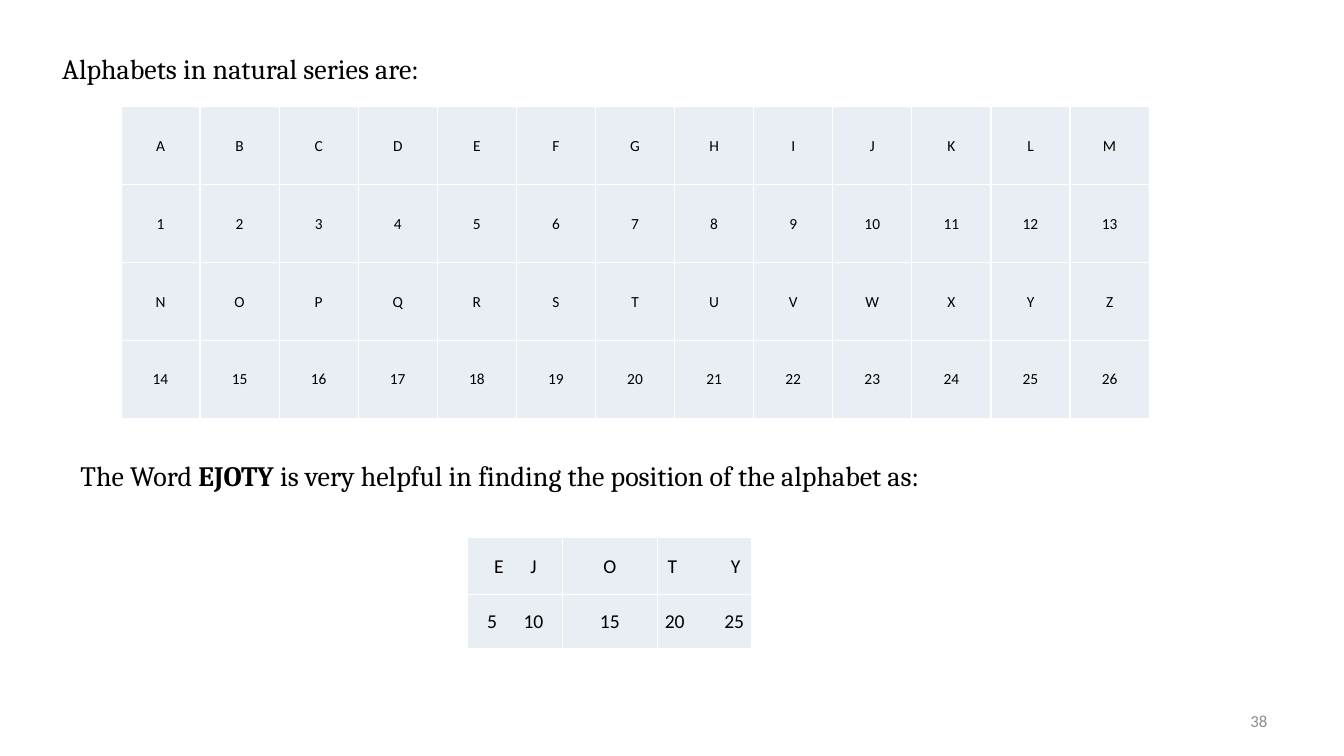
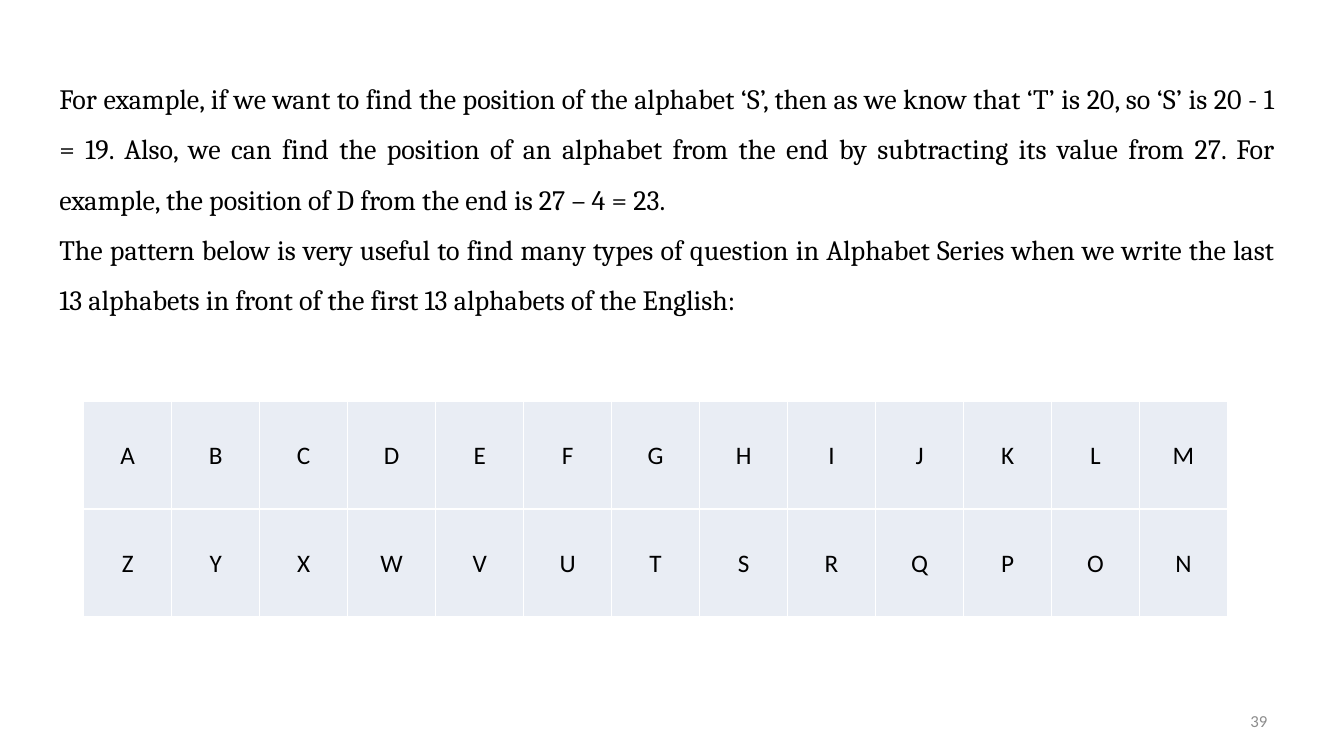
from dataclasses import dataclass
from typing import NamedTuple

from lxml.etree import SubElement
from pptx import Presentation
from pptx.dml.color import RGBColor
from pptx.enum.text import MSO_ANCHOR, MSO_AUTO_SIZE, PP_ALIGN
from pptx.oxml.ns import qn
from pptx.slide import Slide
from pptx.table import _Cell
from pptx.text.text import _Paragraph
from pptx.util import Pt


@dataclass(frozen=True)
class Theme:
    ink: RGBColor = RGBColor(0x00, 0x00, 0x00)
    gray: RGBColor = RGBColor(0x8C, 0x8C, 0x8C)
    tint: RGBColor = RGBColor(0xE9, 0xED, 0xF4)
    line: str = "FFFFFF"
    serif: str = "Cambria"
    sans: str = "Calibri"
    body: float = 20
    foot: float = 12
    small: float = 11
    mid: float = 14
    large: float = 18


THEME = Theme()


class Box(NamedTuple):
    left: float
    top: float
    width: float
    height: float


class Span(NamedTuple):
    text: str
    bold: bool = False


class Pair(NamedTuple):
    first: str
    last: str
    start: float
    gap: float


@dataclass(frozen=True)
class Grid:
    left: float
    top: float
    width: float
    heights: list[float]
    cells: list[list[str | Pair]]
    size: float


LETTERS = "ABCDEFGHIJKLMNOPQRSTUVWXYZ"
HALF = len(LETTERS) // 2
NUMBERS = [str(n + 1) for n in range(len(LETTERS))]

SERIES = Grid(86.4, 76.3, 56.5, [55.6] * 4, [
    list(LETTERS[:HALF]), NUMBERS[:HALF],
    list(LETTERS[HALF:]), NUMBERS[HALF:],
], THEME.small)

EJOTY = Grid(334.1, 383.8, 67.7, [41, 38.2], [
    [Pair("E", "J", 18.9, 25.8), "O", Pair("T", "Y", 7.5, 45)],
    [Pair("5", "10", 13.9, 26), "15", Pair("20", "25", 5.4, 42.5)],
], THEME.mid)

MIRROR = Grid(59.8, 286.6, 62.85, [77] * 2, [
    list(LETTERS[:HALF]), list(reversed(LETTERS[HALF:])),
], THEME.large)


def add_run(para: _Paragraph, text: str, size: float, face: str,
            color: RGBColor, bold: bool = False) -> None:
    run = para.add_run()
    run.text = text
    font = run.font
    font.size, font.name, font.bold = Pt(size), face, bold
    font.color.rgb = color


def add_text(slide: Slide, box: Box, paras: list[list[Span]],
             align: PP_ALIGN = PP_ALIGN.LEFT, space: float = 1) -> None:
    frame = slide.shapes.add_textbox(*map(Pt, box)).text_frame
    frame.word_wrap = True
    frame.auto_size = MSO_AUTO_SIZE.SHAPE_TO_FIT_TEXT
    for i, spans in enumerate(paras):
        para = frame.add_paragraph() if i else frame.paragraphs[0]
        para.alignment, para.line_spacing = align, space
        for span in spans:
            add_run(para, span.text, THEME.body, THEME.serif, THEME.ink, span.bold)


def add_page(slide: Slide, page: int) -> None:
    frame = slide.shapes.add_textbox(Pt(688.3), Pt(500.4), Pt(224), Pt(28.8)).text_frame
    frame.word_wrap = True
    frame.vertical_anchor = MSO_ANCHOR.MIDDLE
    para = frame.paragraphs[0]
    para.alignment = PP_ALIGN.RIGHT
    add_run(para, str(page), THEME.foot, THEME.sans, THEME.gray)


def style_cell(cell: _Cell) -> None:
    props = cell._tc.get_or_add_tcPr()
    for side in ("lnL", "lnR", "lnT", "lnB"):
        edge = SubElement(props, qn(f"a:{side}"), w=str(Pt(1)))
        fill = SubElement(edge, qn("a:solidFill"))
        SubElement(fill, qn("a:srgbClr"), val=THEME.line)
    cell.fill.solid()
    cell.fill.fore_color.rgb = THEME.tint
    cell.vertical_anchor = MSO_ANCHOR.MIDDLE
    cell.margin_left = cell.margin_right = cell.margin_top = Pt(0.7)
    cell.margin_bottom = Pt(0)


def fill_cell(cell: _Cell, value: str | Pair, size: float) -> None:
    style_cell(cell)
    para = cell.text_frame.paragraphs[0]
    if isinstance(value, Pair):
        cell.margin_left = Pt(value.start)
        cell.margin_right = Pt(0)
        tabs = SubElement(para._p.get_or_add_pPr(), qn("a:tabLst"))
        SubElement(tabs, qn("a:tab"), pos=str(Pt(value.gap)), algn="l")
        para.alignment = PP_ALIGN.LEFT
        text = f"{value.first}\t{value.last}"
    else:
        para.alignment = PP_ALIGN.CENTER
        text = value
    add_run(para, text, size, THEME.sans, THEME.ink)


def add_grid(slide: Slide, grid: Grid) -> None:
    rows, cols = len(grid.cells), len(grid.cells[0])
    table = slide.shapes.add_table(
        rows, cols, Pt(grid.left), Pt(grid.top),
        Pt(grid.width * cols), Pt(sum(grid.heights))).table
    table.first_row = table.horz_banding = False
    for col in table.columns:
        col.width = Pt(grid.width)
    for r, (height, values) in enumerate(zip(grid.heights, grid.cells)):
        table.rows[r].height = Pt(height)
        for c, value in enumerate(values):
            fill_cell(table.cell(r, c), value, grid.size)


def draw_series(slide: Slide) -> None:
    add_text(slide, Box(37.4, 33.1, 876.2, 53.3),
             [[Span("Alphabets in natural series are:")]])
    add_grid(slide, SERIES)
    add_page(slide, 38)
    add_text(slide, Box(50.4, 324, 712.8, 31.7), [[
        Span("The Word "),
        Span("EJOTY ", True),
        Span("is very helpful in finding the position of the alphabet as:"),
    ]])
    add_grid(slide, EJOTY)


def draw_mirror(slide: Slide) -> None:
    add_text(slide, Box(35.3, 42.5, 882.7, 189.4), [
        [Span("For example, if we want to find the position of the alphabet ‘S’, "
              "then as we know that ‘T’ is 20, so ‘S’ is 20 - 1 = 19. Also, we can "
              "find the position of an alphabet from the end by subtracting its "
              "value from 27. For example, the position of D from the end is "
              "27 – 4 = 23.")],
        [Span("The pattern below is very useful to find many types of question in "
              "Alphabet Series when we write the last 13 alphabets in front of the "
              "first 13 alphabets of the English:")],
    ], PP_ALIGN.JUSTIFY, 1.5)
    add_grid(slide, MIRROR)
    add_page(slide, 39)


def main() -> None:
    deck = Presentation()
    deck.slide_width, deck.slide_height = Pt(960), Pt(540)
    blank = deck.slide_layouts[6]
    for draw in (draw_series, draw_mirror):
        draw(deck.slides.add_slide(blank))
    deck.save("out.pptx")


if __name__ == "__main__":
    main()
